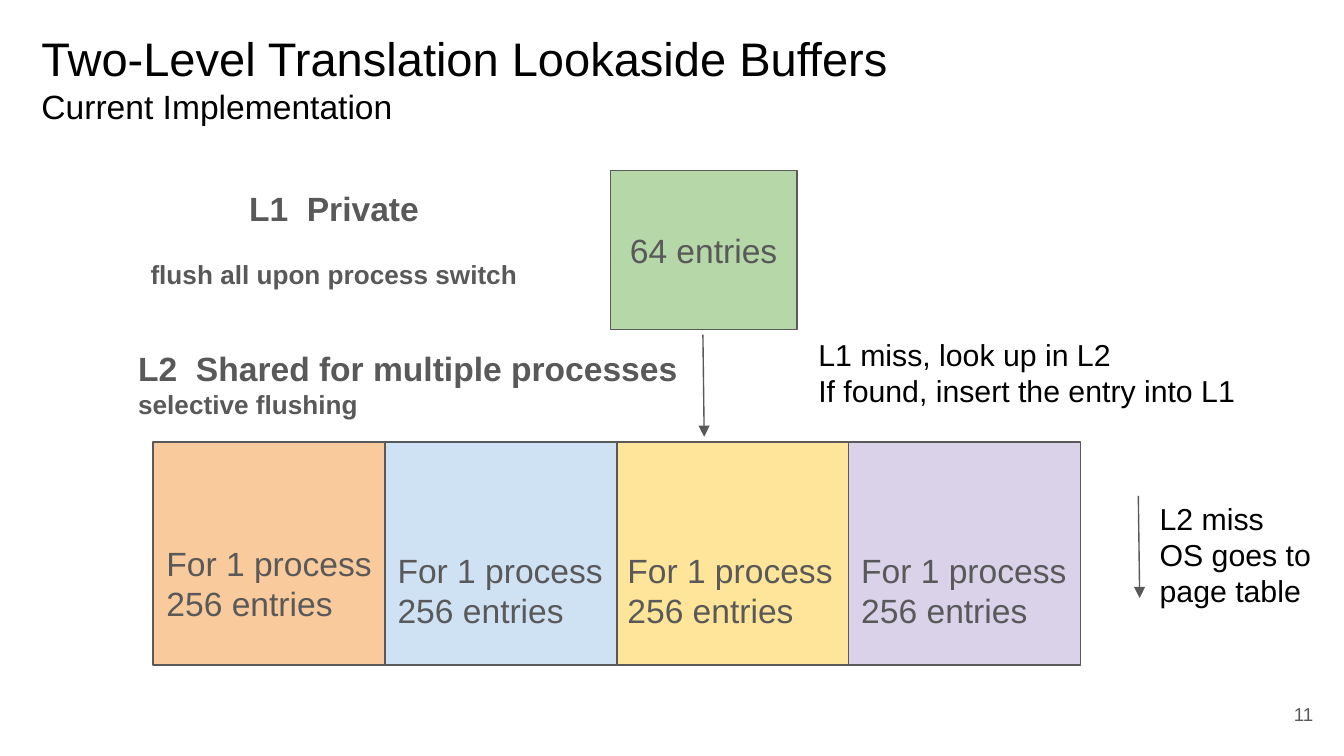
from lxml import etree
from pptx import Presentation
from pptx.dml.color import RGBColor
from pptx.enum.shapes import MSO_CONNECTOR, MSO_SHAPE
from pptx.enum.text import MSO_ANCHOR, PP_ALIGN
from pptx.oxml.ns import qn
from pptx.util import Inches, Pt

LEFT, CENTER, RIGHT = PP_ALIGN.LEFT, PP_ALIGN.CENTER, PP_ALIGN.RIGHT
TOP, MIDDLE = MSO_ANCHOR.TOP, MSO_ANCHOR.MIDDLE
RECTANGLE, STRAIGHT = MSO_SHAPE.RECTANGLE, MSO_CONNECTOR.STRAIGHT

THEME = {
    "font": "Arial",
    "black": "000000", "gray": "595959", "l1_fill": "B6D7A8",
    "title": 25.2, "body": 18, "note": 16.2, "small": 14, "number": 10,
    "line": 0.75, "inset": 0.1,
}

# Content: each line is (text, size)
HEADING = [("Two-Level Translation Lookaside Buffers", "title"),
           ("Current Implementation", "body")]
L1_LABEL = [("L1  Private", "body"), ("flush all upon process switch", "small")]
L2_LABEL = [("L2  Shared for multiple processes", "body"),
            ("selective flushing", "small")]
L1_ENTRIES = [("64 entries", "body")]
L2_ENTRIES = [("For 1 process", "body"), ("256 entries", "body")]
L1_MISS = [("L1 miss, look up in L2", "note"),
           ("If found, insert the entry into L1", "note")]
L2_MISS = [("L2 miss", "note"), ("OS goes to", "note"), ("page table", "note")]
PAGE_NUMBER = [("11", "number")]

# L2 partitions: fill, text left, text top
PARTITIONS = [("F9CB9C", 1.14, 3.94), ("CFE2F3", 2.86, 3.99),
              ("FFE599", 4.57, 3.99), ("D9D2E9", 6.31, 3.99)]
L2_LEFT, L2_TOP, L2_WIDTH, L2_HEIGHT = 1.14, 3.29, 6.9, 1.66
PARTITION_WIDTH = L2_WIDTH / len(PARTITIONS)

# Miss arrows: start x, start y
ARROWS = [(5.23, 2.49), (8.47, 3.69)]
ARROW_RUN, ARROW_DROP = 0.01, 0.76

# 16:9 slide
prs = Presentation()
prs.slide_width = Inches(10)
prs.slide_height = Inches(10 * 9 / 16)
slide = prs.slides.add_slide(prs.slide_layouts[6])


def color(value):
    return RGBColor.from_string(THEME.get(value, value))


def write(shape, lines, ink="gray", bold=False, align=LEFT, anchor=TOP, gap=0):
    frame = shape.text_frame
    frame.word_wrap = True
    frame.vertical_anchor = anchor
    frame.margin_left = frame.margin_right = Inches(THEME["inset"])
    frame.margin_top = frame.margin_bottom = Inches(THEME["inset"])
    for index, (text, size) in enumerate(lines):
        paragraph = frame.add_paragraph() if index else frame.paragraphs[0]
        paragraph.alignment = align
        if index and gap:
            paragraph.space_before = Pt(gap)
        run = paragraph.add_run()
        run.text = text
        run.font.name = THEME["font"]
        run.font.size = Pt(THEME[size])
        run.font.bold = bold
        run.font.color.rgb = color(ink)


def add_text(box, lines, **style):
    write(slide.shapes.add_textbox(*map(Inches, box)), lines, **style)


def add_block(box, fill):
    block = slide.shapes.add_shape(RECTANGLE, *map(Inches, box))
    block.shadow.inherit = False
    block.fill.solid()
    block.fill.fore_color.rgb = color(fill)
    block.line.color.rgb = color("gray")
    block.line.width = Pt(THEME["line"])
    return block


def add_arrow(x, y):
    ends = (x, y, x + ARROW_RUN, y + ARROW_DROP)
    arrow = slide.shapes.add_connector(STRAIGHT, *map(Inches, ends))
    arrow.line.color.rgb = color("gray")
    arrow.line.width = Pt(THEME["line"])
    properties = arrow._element.spPr
    etree.SubElement(properties.find(qn("a:ln")), qn("a:tailEnd"), type="triangle")
    etree.SubElement(properties, qn("a:effectLst"))


# Heading
add_text((0.21, 0.12, 9.58, 0.96), HEADING, ink="black")

# L1 buffer
l1_buffer = add_block((4.54, 1.27, 1.39, 1.18), "l1_fill")
write(l1_buffer, L1_ENTRIES, align=CENTER, anchor=MIDDLE)
add_text((0.74, 1.3, 3.49, 1.28), L1_LABEL, bold=True, align=CENTER, gap=16.2)

# L2 buffer: blocks first, so that no block covers a label
for column, (fill, _, _) in enumerate(PARTITIONS):
    block_left = L2_LEFT + column * PARTITION_WIDTH
    add_block((block_left, L2_TOP, PARTITION_WIDTH, L2_HEIGHT), fill)
for _, text_left, text_top in PARTITIONS:
    add_text((text_left, text_top, 2.1, 0.96), L2_ENTRIES)
add_text((0.93, 2.49, 4.5, 0.59), L2_LABEL, bold=True)

# Misses
for start in ARROWS:
    add_arrow(*start)
add_text((5.99, 2.4, 3.9, 0.68), L1_MISS, ink="black")
add_text((8.53, 3.62, 1.45, 0.68), L2_MISS, ink="black")

# Page number
add_text((9.27, 5.1, 0.6, 0.43), PAGE_NUMBER, align=RIGHT, anchor=MIDDLE)

prs.save("out.pptx")
